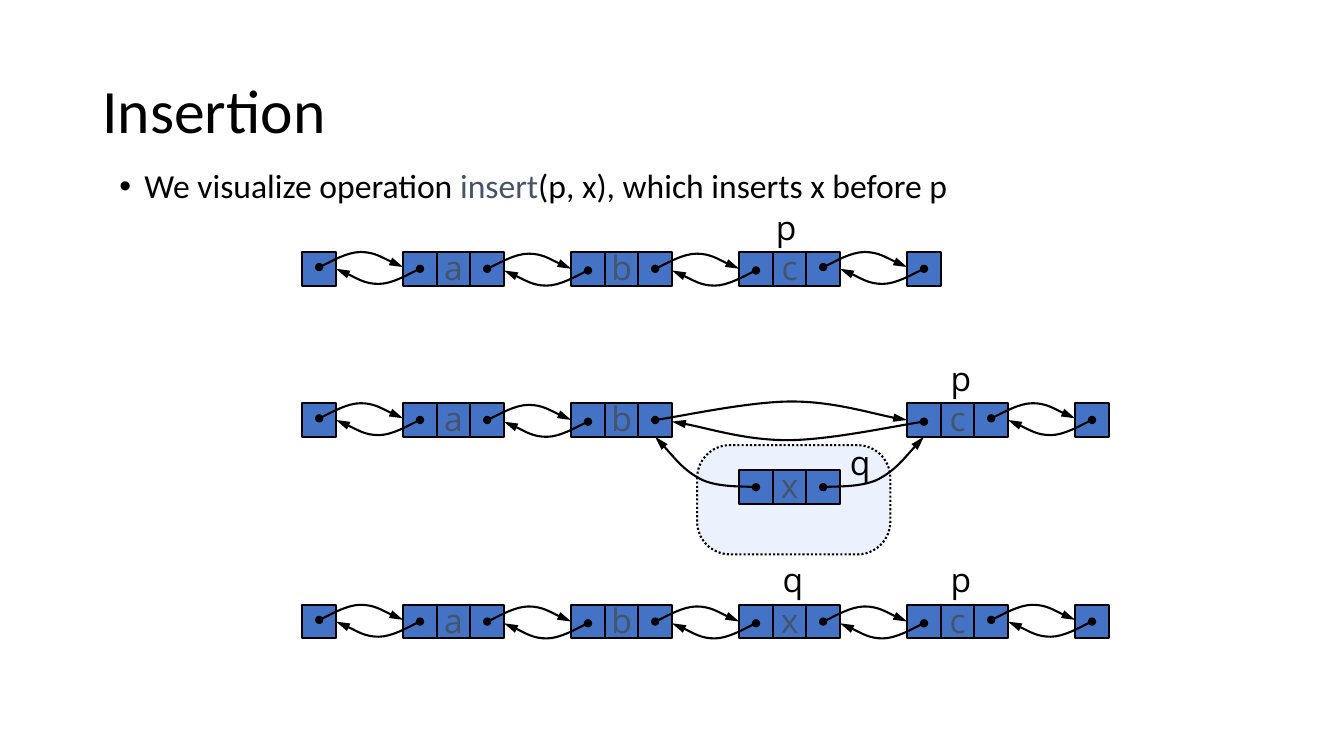
from collections import namedtuple

from lxml import etree
from pptx import Presentation
from pptx import util as u
from pptx.dml.color import RGBColor
from pptx.enum import dml, shapes, text
from pptx.oxml import ns

COLORS = {"ink": "000000", "cell": "4472C4", "accent": "44546A", "panel": "ECF1FE"}
COLUMNS, ROWS = 40, 22.5
UNIT = u.Inches(1) / 3
Box = namedtuple("Box", "col row width height")

LINK = [(0.2, -0.08), (0.83, -0.45), (1.23, -0.45), (1.64, -0.45), (2.25, -0.09), (2.5, 0)]
BYPASS = [(0.69, -0.09), (2.82, -0.55), (4.06, -0.55), (5.3, -0.55), (6.78, -0.09), (7.5, 0)]
HOOK = [(0.27, -0.03), (1.17, 0), (1.65, -0.24), (2.16, -0.51), (2.73, -1.23), (3, -1.5)]
LETTER = {"name": "Open Sans", "size": u.Pt(24)}
HEADING = {"name": "Calibri", "size": u.Pt(44)}
BODY = {"name": "Calibri", "size": u.Pt(24)}
LABEL_FRAME = {"word_wrap": True, "auto_size": text.MSO_AUTO_SIZE.SHAPE_TO_FIT_TEXT}
LEFT = {"alignment": text.PP_ALIGN.LEFT, "line_spacing": 0.9}


def grid(*lengths):
    return [round(length * UNIT) for length in lengths]


def apply(target, values):
    for key, value in values.items():
        setattr(target, key, value)


def color(name):
    return RGBColor.from_string(COLORS[name])


def outline(part):
    part.shadow.inherit = False
    part.line.color.rgb = color("ink")
    part.line.width = u.Pt(1.5)


def write(paragraph, words, font, ink="ink"):
    run = paragraph.add_run()
    run.text = words
    apply(run.font, font)
    run.font.color.rgb = color(ink)


def block(slide, box, preset, fill):
    part = slide.shapes.add_shape(preset, *grid(*box))
    outline(part)
    part.fill.solid()
    part.fill.fore_color.rgb = color(fill)
    return part


def label(slide, middle, row, letter, ink="ink"):
    tag = slide.shapes.add_textbox(*grid(middle - 0.6, row, 1.2, 1.5))
    apply(tag.text_frame, LABEL_FRAME)
    paragraph = tag.text_frame.paragraphs[0]
    paragraph.alignment = text.PP_ALIGN.CENTER
    write(paragraph, letter, LETTER, ink)


def arrow(slide, col, row, bends, flip_x=1, flip_y=1):
    points = [grid(col + flip_x * x, row + flip_y * y) for x, y in bends]
    builder = slide.shapes.build_freeform(*grid(col, row))
    builder.add_line_segments(points, close=False)
    curve = builder.convert_to_shape()
    outline(curve)
    curve.fill.background()
    steps = list(curve.element.iter(ns.qn("a:lnTo")))
    for first in range(0, len(steps), 3):
        bezier = etree.Element(ns.qn("a:cubicBezTo"))
        steps[first].addprevious(bezier)
        for step in steps[first:first + 3]:
            bezier.append(step[0])
            step.getparent().remove(step)
    stroke = curve.line._get_or_add_ln()
    for end, kind, length in (("headEnd", "oval", "med"), ("tailEnd", "triangle", "lg")):
        etree.SubElement(stroke, ns.qn("a:" + end), type=kind, w="med", len=length)


def node(slide, box, letter):
    for part in range(3):
        block(slide, Box(box.col + part, box.row, 1, 1), shapes.MSO_SHAPE.RECTANGLE, "cell")
    label(slide, box.col + 1.5, box.row - 0.3, letter, "accent")


def chain(slide, box, nodes):
    last = box.col + box.width - 1
    for end in (box.col, last):
        block(slide, Box(end, box.row, 1, 1), shapes.MSO_SHAPE.RECTANGLE, "cell")
    lefts = [box.col + offset for offset in nodes.values()]
    for left, letter in zip(lefts, nodes):
        node(slide, Box(left, box.row, 3, 1), letter)
    exits = [box.col] + [left + 2 for left in lefts]
    for leave, enter in zip(exits, lefts + [last]):
        bends = LINK if enter - leave == 3 else BYPASS
        lift = 0.45 if leave == box.col or enter == last else 0.5
        arrow(slide, leave + 0.5, box.row + lift, bends)
        arrow(slide, enter + 0.5, box.row + lift + 0.05, bends, -1, -1)


def new_node_panel(slide, box):
    panel = block(slide, box, shapes.MSO_SHAPE.ROUNDED_RECTANGLE, "panel")
    panel.adjustments[0] = 0.3
    panel.line.dash_style = dml.MSO_LINE.ROUND_DOT


def new_node(slide, box):
    left, top = box.col + 1.25, box.row + 0.75
    node(slide, Box(left, top, 3, 1), "x")
    arrow(slide, left + 0.5, top + 0.5, HOOK, -1)
    arrow(slide, left + 2.5, top + 0.5, HOOK)
    label(slide, left + 3.6, box.row - 0.25, "q")


def placeholder(holder, box, anchor):
    holder.left, holder.top, holder.width, holder.height = grid(*box)
    holder.text_frame.vertical_anchor = anchor
    paragraph = holder.text_frame.paragraphs[0]
    apply(paragraph, LEFT)
    return paragraph


def heading(slide, box):
    paragraph = placeholder(slide.shapes.title, box, text.MSO_ANCHOR.MIDDLE)
    write(paragraph, "Insertion", HEADING)


def summary(slide, box):
    paragraph = placeholder(slide.placeholders[1], box, text.MSO_ANCHOR.TOP)
    paragraph.space_before = u.Pt(10)
    indent = u.Inches(0.25)
    apply_indent = paragraph._p.get_or_add_pPr()
    apply_indent.set("marL", str(indent))
    apply_indent.set("indent", str(-indent))
    write(paragraph, "We visualize operation ", BODY)
    write(paragraph, "insert", BODY, "accent")
    write(paragraph, "(p, x), which inserts x before p", BODY)


def insertion_slide(deck):
    slide = deck.slides.add_slide(deck.slide_layouts[1])
    inserted = Box(20.75, 13.25, 5.75, 3.25)
    heading(slide, Box(2.75, 1.2, 34.5, 4.35))
    summary(slide, Box(3.25, 4.9, 25.75, 2))
    new_node_panel(slide, inserted)
    chain(slide, Box(9, 7.5, 19, 1), {"a": 3, "b": 8, "c": 13})
    chain(slide, Box(9, 12, 24, 1), {"a": 3, "b": 8, "c": 18})
    new_node(slide, inserted)
    chain(slide, Box(9, 18, 24, 1), {"a": 3, "b": 8, "x": 13, "c": 18})
    for letter, middle, row in (("p", 23.4, 6), ("p", 28.6, 10.5), ("q", 23.6, 16.5), ("p", 28.6, 16.5)):
        label(slide, middle, row, letter)


deck = Presentation()
deck.slide_width, deck.slide_height = grid(COLUMNS, ROWS)
insertion_slide(deck)
deck.save("out.pptx")
